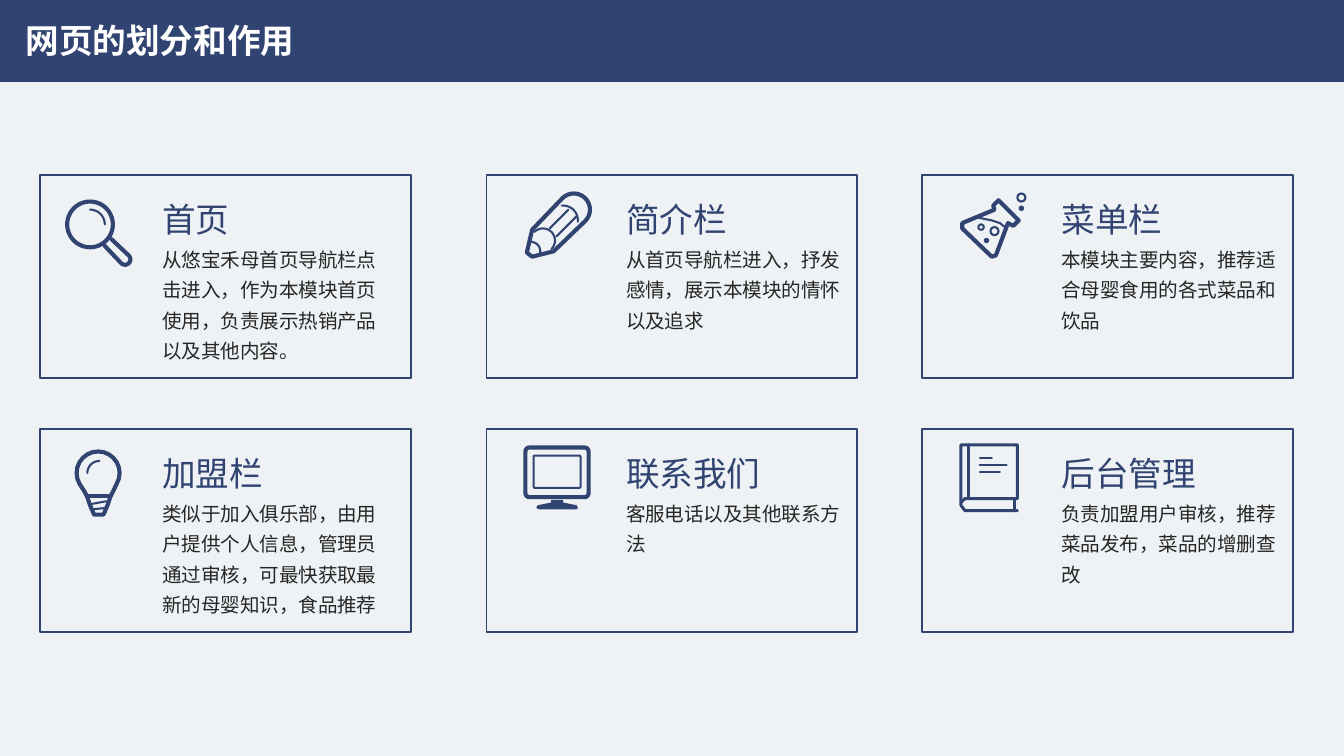
from math import cos, radians, sin

from lxml import etree
from pptx import Presentation
from pptx.dml.color import RGBColor
from pptx.enum.shapes import MSO_SHAPE
from pptx.enum.text import MSO_ANCHOR, MSO_AUTO_SIZE, PP_ALIGN
from pptx.oxml.ns import qn
from pptx.util import Inches, Pt

NAVY = RGBColor(0x30, 0x43, 0x71)
PALE = RGBColor(0xEE, 0xF2, 0xF5)
INK = RGBColor(0x26, 0x26, 0x26)
WHITE = RGBColor(0xFF, 0xFF, 0xFF)
THICK, MEDIUM, THIN = 2.2, 1.6, 1.1


def arc(cx, cy, r, start, end, steps=16):
    """Points along a circle, in degrees clockwise from the right."""
    angles = [radians(start + (end - start) * i / steps) for i in range(steps + 1)]
    return [(cx + r * cos(a), cy + r * sin(a)) for a in angles]


def rounded_box(x, y, w, h, r):
    corners = [(x + r, y + r), (x + w - r, y + r), (x + w - r, y + h - r), (x + r, y + h - r)]
    return [point for i, (cx, cy) in enumerate(corners)
            for point in arc(cx, cy, r, 180 + 90 * i, 270 + 90 * i, 4)]


TITLE = "网页的划分和作用"
CARDS = [
    ("首页", "从悠宝禾母首页导航栏点击进入，作为本模块首页使用，负责展示热销产品以及其他内容。"),
    ("简介栏", "从首页导航栏进入，抒发感情，展示本模块的情怀以及追求"),
    ("菜单栏", "本模块主要内容，推荐适合母婴食用的各式菜品和饮品"),
    ("加盟栏", "类似于加入俱乐部，由用户提供个人信息，管理员通过审核，可最快获取最新的母婴知识，食品推荐"),
    ("联系我们", "客服电话以及其他联系方法"),
    ("后台管理", "负责加盟用户审核，推荐菜品发布，菜品的增删查改"),
]
COLUMNS = [(0.3, 1.11), (3.62, 4.56), (6.86, 7.8)]  # card left, text left
ROWS = [1.3, 3.19]
CARD_W, CARD_H = 2.76, 1.51

# Circles: centre x, centre y, radius, line width (0 means a solid dot)
CIRCLES = [
    (0.67, 1.67, 0.17, THICK),
    (7.4, 1.72, 0.03, THIN), (7.6, 1.47, 0.03, THIN), (7.3, 1.69, 0.02, THIN),
    (7.34, 1.79, 0.02, 0), (7.6, 1.55, 0.02, 0),
]
# Open strokes: line width, points
STROKES = [
    # magnifier
    (THICK, [(0.78, 1.83), *arc(0.93, 1.93, 0.04, 135, -45), (0.83, 1.78)]),
    (THIN, arc(0.67, 1.67, 0.11, -90, 0)),
    # pencil
    (THIN, [(4.09, 1.7), (4.23, 1.56)]),
    (THIN, [(4.14, 1.76), (4.29, 1.61)]),
    (THIN, arc(4.19, 1.64, 0.11, -95, 5)),
    (THIN, arc(4.04, 1.79, 0.09, -135, 45)),
    (THIN, arc(3.95, 1.87, 0.07, -95, 10)),
    # flask liquid
    (THIN, [(7.28, 1.62), (7.38, 1.64), (7.44, 1.66), (7.49, 1.7)]),
    # bulb
    (THICK, [(0.66, 3.69), (0.81, 3.69)]),
    (THIN, [(0.68, 3.75), (0.79, 3.73)]),
    (THIN, [(0.69, 3.79), (0.78, 3.78)]),
    (THIN, arc(0.74, 3.52, 0.09, 180, 270)),
    # book
    (MEDIUM, [(7.57, 3.71), (7.57, 3.31), (7.15, 3.31), (7.15, 3.76),
              (7.18, 3.8), (7.57, 3.8)]),
    (MEDIUM, [(7.15, 3.74), (7.18, 3.71), (7.57, 3.71)]),
    (MEDIUM, [(7.55, 3.71), (7.55, 3.8)]),
    (MEDIUM, [(7.21, 3.31), (7.21, 3.71)]),
    (THIN, [(7.29, 3.41), (7.38, 3.41)]),
    (THIN, [(7.29, 3.46), (7.49, 3.46)]),
    (THIN, [(7.29, 3.51), (7.44, 3.51)]),
]
# Closed outlines: line width, points
OUTLINES = [
    # pencil
    (THICK, [(3.96, 1.71), *arc(4.27, 1.56, 0.12, -135, 45), (4.12, 1.87),
             (3.96, 1.91), (3.92, 1.88)]),
    # flask
    (THICK, [(7.16, 1.66), (7.4, 1.56), (7.39, 1.53), (7.43, 1.49), (7.58, 1.64),
             (7.54, 1.68), (7.5, 1.66), (7.41, 1.9), (7.38, 1.91), (7.16, 1.7)]),
    # bulb
    (THICK, [(0.65, 3.7), (0.63, 3.66), *arc(0.73, 3.52, 0.16, 150, 390),
             (0.84, 3.66), (0.82, 3.7), (0.8, 3.76), (0.77, 3.83),
             (0.7, 3.83), (0.67, 3.76)]),
    # monitor
    (THICK, rounded_box(3.91, 3.33, 0.47, 0.37, 0.03)),
    (THIN, rounded_box(3.97, 3.39, 0.35, 0.24, 0.01)),
]
MONITOR_STAND = [(4.1, 3.72), (4.19, 3.72), (4.19, 3.74), (4.29, 3.76), (4.3, 3.78),
                 (4.29, 3.79), (4.01, 3.79), (3.99, 3.78), (4, 3.76), (4.1, 3.74)]

HEADING = dict(size=Pt(18), name="Noto Sans CJK SC", bold=False)
BODY = dict(size=Pt(10.5), name="Calibri", bold=False)


def paint(sp, line=0, fill=None):
    sp.shadow.inherit = False
    if fill is None:
        sp.fill.background()
    else:
        sp.fill.solid()
        sp.fill.fore_color.rgb = fill
    if line:
        sp.line.color.rgb = NAVY
        sp.line.width = Pt(line)
    else:
        sp.line.fill.background()


def write(sp, text, look, color, align=PP_ALIGN.LEFT, spacing=None):
    tf = sp.text_frame
    tf.word_wrap = True
    tf.auto_size = MSO_AUTO_SIZE.SHAPE_TO_FIT_TEXT
    tf.vertical_anchor = MSO_ANCHOR.TOP
    p = tf.paragraphs[0]
    p.alignment = align
    p.line_spacing = spacing
    r = p.add_run()
    r.text = text
    for key, value in look.items():
        setattr(r.font, key, value)
    r.font.color.rgb = color
    etree.SubElement(r.font._element, qn("a:ea")).set("typeface", look["name"])


def draw_path(s, points, line=0, closed=False, fill=None):
    pts = [(Inches(x), Inches(y)) for x, y in points]
    builder = s.shapes.build_freeform(*pts[0], scale=1.0)
    builder.add_line_segments(pts[1:], close=closed)
    sp = builder.convert_to_shape()
    paint(sp, line, fill)
    if line:
        ln = sp.line._get_or_add_ln()
        ln.set("cap", "rnd")
        etree.SubElement(ln, qn("a:round"))


def add_shape(s, kind, *place):
    return s.shapes.add_shape(kind, *map(Inches, place))


def add_text(s, place, *args, **kwargs):
    write(s.shapes.add_textbox(*map(Inches, place)), *args, **kwargs)


prs = Presentation()
prs.slide_width = Inches(10)
prs.slide_height = prs.slide_width * 9 // 16
s = prs.slides.add_slide(prs.slide_layouts[5])
s.background.fill.solid()
s.background.fill.fore_color.rgb = PALE

header = add_shape(s, MSO_SHAPE.RECTANGLE, 0, 0, 10, 0.61)
paint(header, fill=NAVY)
title = s.shapes.title
title._element.addprevious(header._element)
for side, value in dict(left=0.09, top=0.1, width=2.2, height=0.4).items():
    setattr(title, side, Inches(value))
title.text_frame.margin_left = title.text_frame.margin_right = Inches(0.05)
write(title, TITLE, {**HEADING, "bold": True}, WHITE, align=PP_ALIGN.CENTER)

for i, (heading, body) in enumerate(CARDS):
    top = ROWS[i // len(COLUMNS)]
    left, text_left = COLUMNS[i % len(COLUMNS)]
    paint(add_shape(s, MSO_SHAPE.RECTANGLE, left, top, CARD_W, CARD_H), line=1)
    lines = -(-len(body) // 11)
    add_text(s, (text_left, top + 0.44, 1.82, 0.1 + 0.23 * lines), body, BODY, INK, spacing=1.3)
    add_text(s, (text_left, top + 0.13, 1.47, 0.4), heading, HEADING, NAVY)

for cx, cy, r, line in CIRCLES:
    dot = add_shape(s, MSO_SHAPE.OVAL, cx - r, cy - r, 2 * r, 2 * r)
    paint(dot, line, None if line else NAVY)
for line, points in STROKES:
    draw_path(s, points, line)
for line, points in OUTLINES:
    draw_path(s, points, line, closed=True)
draw_path(s, MONITOR_STAND, closed=True, fill=NAVY)

prs.save("out.pptx")
